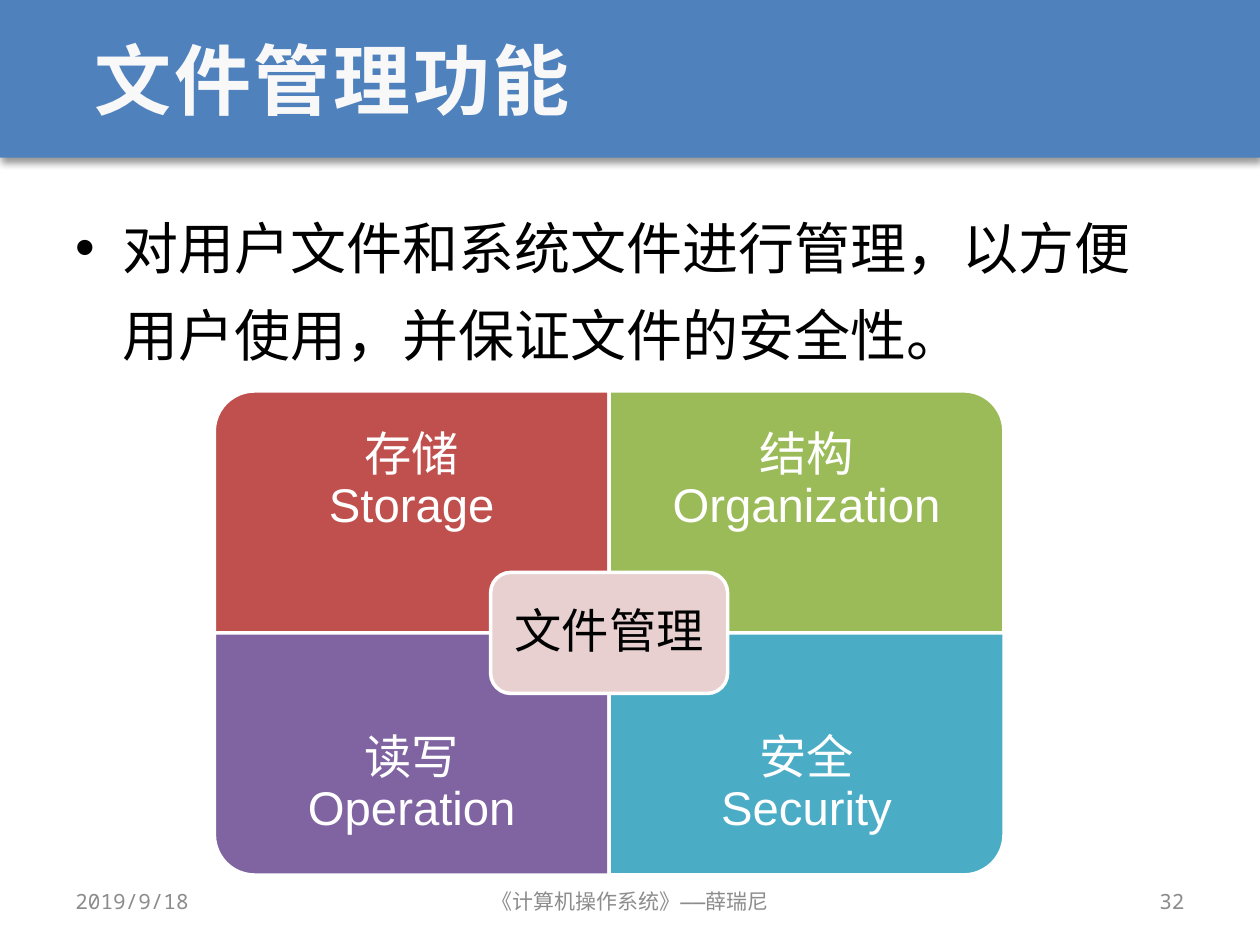
from dataclasses import dataclass

import pptx
import pptx.dml.color
import pptx.enum.shapes
import pptx.enum.text
import pptx.oxml
import pptx.oxml.ns
import pptx.util
from pptx.util import Cm, Pt

COLORS = {
    "band": "4F81BD",
    "title": "F8F8F8",
    "text": "000000",
    "footer": "8C8C8C",
    "white": "FFFFFF",
    "storage": "C0504D",
    "organization": "9BBB59",
    "operation": "8064A2",
    "security": "4BACC6",
    "center": "E8D0D0",
}
MONO = "Noto Sans Mono"
ALIGN = pptx.enum.text.PP_ALIGN
SHAPE = pptx.enum.shapes.MSO_SHAPE
NS = pptx.oxml.ns.nsdecls("a")

MARGIN = 1.27
CONTENT_WIDTH = 22.86
BAND_HEIGHT = 3.18

MATRIX_LEFT, MATRIX_TOP = 4.32, 7.88
CELL_WIDTH, CELL_HEIGHT = 7.96, 4.88
LABEL_HEIGHT = CELL_HEIGHT * 0.75
CENTER_WIDTH, CENTER_HEIGHT = CELL_WIDTH * 0.6, CELL_HEIGHT / 2


@dataclass
class Box:
    left: float
    top: float
    width: float
    height: float

    def lengths(self) -> tuple:
        return Cm(self.left), Cm(self.top), Cm(self.width), Cm(self.height)


@dataclass
class Quadrant:
    label: str
    color: str
    column: int
    row: int
    rotation: int


@dataclass
class FooterItem:
    text: str
    left: float
    width: float
    align: ALIGN


QUADRANTS = [
    Quadrant("存储\nStorage", "storage", 0, 0, 270),
    Quadrant("结构\nOrganization", "organization", 1, 0, 0),
    Quadrant("读写\nOperation", "operation", 0, 1, 180),
    Quadrant("安全\nSecurity", "security", 1, 1, 90),
]
FOOTER = [
    FooterItem("2019/9/18", MARGIN, 5.93, ALIGN.LEFT),
    FooterItem("《计算机操作系统》——薛瑞尼", 8.68, 8.04, ALIGN.CENTER),
    FooterItem("32", 18.2, 5.93, ALIGN.RIGHT),
]


def rgb(name: str) -> pptx.dml.color.RGBColor:
    return pptx.dml.color.RGBColor.from_string(COLORS[name])


def write_text(shape, text: str, *, size: float, color: str, font: str = MONO,
               bold: bool = False, align=ALIGN.LEFT, spacing: float = 1.0,
               tracking: int = 0, bullet: str = "", inset: float = 0.25,
               anchor=pptx.enum.text.MSO_ANCHOR.MIDDLE) -> None:
    frame = shape.text_frame
    frame.word_wrap = True
    frame.auto_size = pptx.enum.text.MSO_AUTO_SIZE.NONE
    frame.vertical_anchor = anchor
    frame.margin_left = frame.margin_right = Cm(inset)
    frame.margin_top = frame.margin_bottom = Cm(min(inset, 0.13) if inset == 0.25 else inset)
    paragraph = frame.paragraphs[0]
    paragraph.text = text
    if bullet:
        properties = paragraph._p.get_or_add_pPr()
        properties.set("marL", str(Cm(0.95)))
        properties.set("indent", str(Cm(-0.95)))
        for xml in (f'<a:buFont {NS} typeface="Arial"/>',
                    f'<a:buChar {NS} char="{bullet}"/>'):
            properties.append(pptx.oxml.parse_xml(xml))
    paragraph.alignment = align
    paragraph.line_spacing = spacing
    for run in paragraph.runs:
        run.font.size = Pt(size)
        run.font.bold = bold
        run.font.name = font
        run.font.color.rgb = rgb(color)
        properties = run._r.get_or_add_rPr()
        properties.find(pptx.oxml.ns.qn("a:latin")).addnext(
            pptx.oxml.parse_xml(f'<a:ea {NS} typeface="{font}"/>'))
        if tracking:
            properties.set("spc", str(tracking))


def add_text(slide, box: Box, text: str, **text_format) -> None:
    write_text(slide.shapes.add_textbox(*box.lengths()), text, **text_format)


def add_filled(slide, kind, box: Box, color: str, outlined: bool = True):
    shape = slide.shapes.add_shape(kind, *box.lengths())
    shape.shadow.inherit = False
    shape.fill.solid()
    shape.fill.fore_color.rgb = rgb(color)
    if outlined:
        shape.line.color.rgb = rgb("white")
        shape.line.width = Pt(2)
    else:
        shape.line.fill.background()
    return shape


def add_band(slide) -> None:
    """Draw the header band with its shadow behind the title."""
    band = add_filled(slide, SHAPE.RECTANGLE, Box(0, 0, 25.4, BAND_HEIGHT), "band", outlined=False)
    effects = band._element.spPr.find(pptx.oxml.ns.qn("a:effectLst"))
    effects.append(pptx.oxml.parse_xml(
        f'<a:outerShdw {NS} blurRad="{Pt(4)}" dist="{Pt(3)}" dir="5400000" rotWithShape="0">'
        f'<a:srgbClr val="{COLORS["text"]}"><a:alpha val="40000"/></a:srgbClr></a:outerShdw>'))
    slide.shapes._spTree.insert(2, band._element)


def add_title(slide, text: str) -> None:
    title = slide.shapes.title
    title.left, title.top, title.width, title.height = Box(
        MARGIN, 0, CONTENT_WIDTH, BAND_HEIGHT).lengths()
    write_text(title, text, size=44, color="title", bold=True, tracking=150)
    title.text_frame.margin_left = Cm(0.64)


def add_quadrant(slide, quadrant: Quadrant) -> None:
    left = MATRIX_LEFT + quadrant.column * CELL_WIDTH
    top = MATRIX_TOP + quadrant.row * CELL_HEIGHT
    width, height = CELL_WIDTH, CELL_HEIGHT
    if quadrant.rotation % 180:
        width, height = height, width
    tile = add_filled(slide, SHAPE.ROUND_1_RECTANGLE,
                      Box(left + (CELL_WIDTH - width) / 2, top + (CELL_HEIGHT - height) / 2,
                          width, height), quadrant.color)
    tile.rotation = quadrant.rotation
    label_top = top + quadrant.row * (CELL_HEIGHT - LABEL_HEIGHT)
    add_text(slide, Box(left, label_top, CELL_WIDTH, LABEL_HEIGHT), quadrant.label,
             size=27, color="white", font="Arial", align=ALIGN.CENTER, spacing=0.9, inset=0.53)


def add_center(slide, text: str) -> None:
    box = Box(MATRIX_LEFT + CELL_WIDTH - CENTER_WIDTH / 2,
              MATRIX_TOP + CELL_HEIGHT - CENTER_HEIGHT / 2, CENTER_WIDTH, CENTER_HEIGHT)
    center = add_filled(slide, SHAPE.ROUNDED_RECTANGLE, box, "center")
    write_text(center, text, size=27, color="text", font="Arial",
               align=ALIGN.CENTER, spacing=0.9, inset=0.28)


def main() -> None:
    presentation = pptx.Presentation()
    presentation.slide_width, presentation.slide_height = Cm(25.4), Cm(19.05)
    slide = presentation.slides.add_slide(presentation.slide_layouts[5])
    add_band(slide)
    add_title(slide, "文件管理功能")
    add_text(slide, Box(MARGIN, 3.76, CONTENT_WIDTH, 4),
             "对用户文件和系统文件进行管理，以方便用户使用，并保证文件的安全性。",
             size=32, color="text", spacing=1.3, bullet="•",
             anchor=pptx.enum.text.MSO_ANCHOR.TOP)
    for item in FOOTER:
        add_text(slide, Box(item.left, 17.65, item.width, 1.02), item.text,
                 size=12, color="footer", align=item.align)
    for quadrant in QUADRANTS:
        add_quadrant(slide, quadrant)
    add_center(slide, "文件管理")
    presentation.save("out.pptx")


if __name__ == "__main__":
    main()
